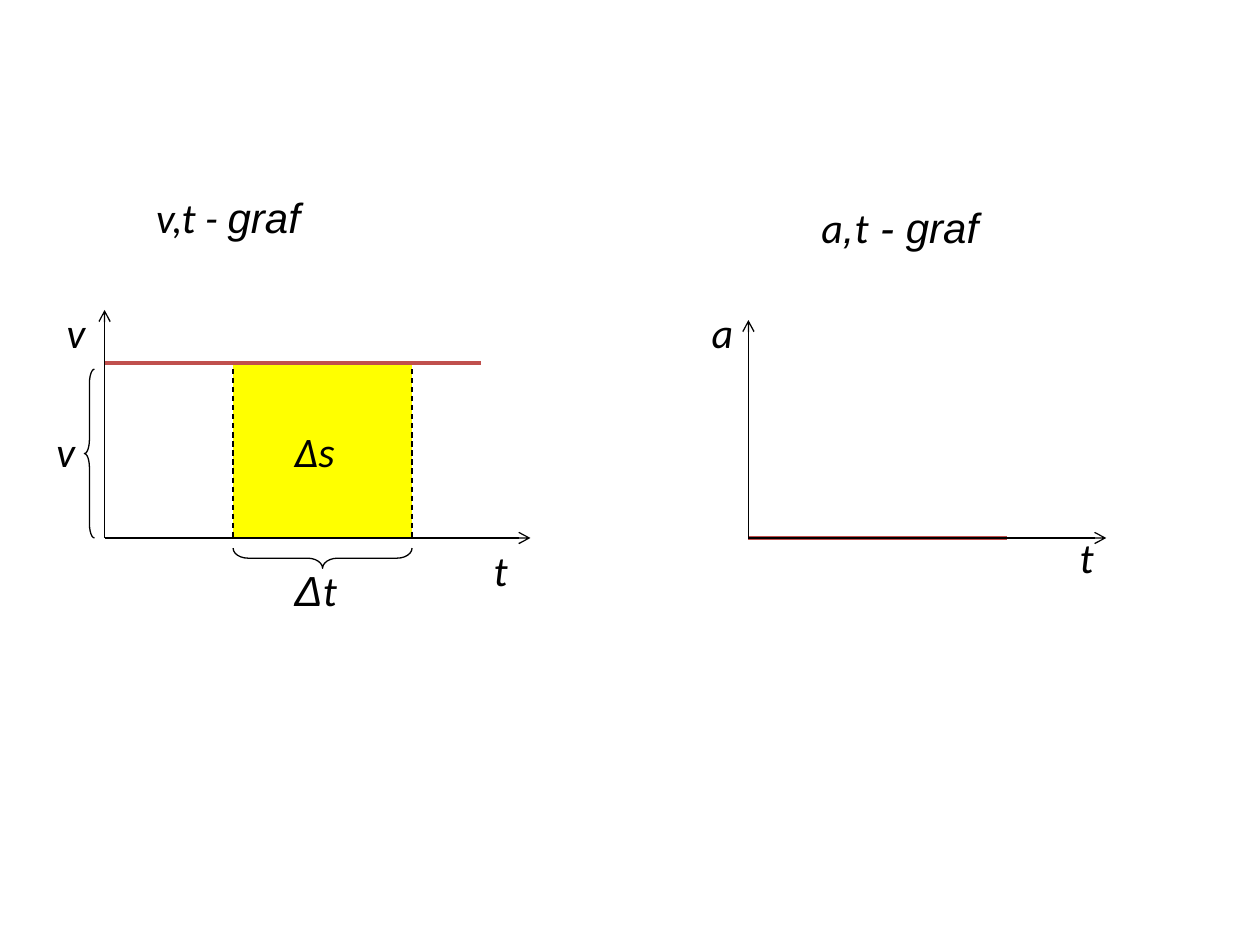
from dataclasses import dataclass

from lxml import etree
from pptx import Presentation
from pptx import util as u
from pptx.dml.color import RGBColor
from pptx.enum import dml, shapes
from pptx.oxml.ns import qn


@dataclass(frozen=True)
class Theme:
    """Colours, fonts, sizes and the grid of the slide."""
    ink: RGBColor = RGBColor(0, 0, 0)
    curve: RGBColor = RGBColor(0xC0, 0x50, 0x4D)
    area: RGBColor = RGBColor(0xFF, 0xFF, 0)
    symbol: str = "Calibri"
    word: str = "Arial"
    size: int = 24
    thin: float = 0.75
    thick: float = 2.25
    columns: int = 100
    rows: int = 75


THEME = Theme()
WIDTH, HEIGHT = u.Inches(10), u.Inches(7.5)
AXIS_ROW = 42.7
SPEED_ROW, DASH_ROW = 28.8, 29.3
V_ORIGIN, A_ORIGIN = 8.3, 59.4
START, END = 18.5, 32.7


def across(columns):
    """Turn grid columns into a length."""
    return round(columns * WIDTH / THEME.columns)


def down(rows):
    """Turn grid rows into a length."""
    return round(rows * HEIGHT / THEME.rows)


def add_line(page, start, end, color=THEME.ink, width=THEME.thin, arrow=False, dash=False):
    """Draw a straight line between two grid points."""
    line = page.shapes.add_connector(
        shapes.MSO_CONNECTOR.STRAIGHT,
        across(start[0]), down(start[1]), across(end[0]), down(end[1]))
    line.line.color.rgb = color
    line.line.width = u.Pt(width)
    if dash:
        line.line.dash_style = dml.MSO_LINE.DASH
    if arrow:
        tail = etree.SubElement(line.line._get_or_add_ln(), qn("a:tailEnd"))
        tail.set("type", "arrow")
    etree.SubElement(line._element.spPr, qn("a:effectLst"))


def add_axes(page, origin, top, right):
    """Draw the two arrows of a graph from its origin."""
    for tip in ((origin, top), (right, AXIS_ROW)):
        add_line(page, (origin, AXIS_ROW), tip, arrow=True)


def add_label(page, left, top, width, *spans, wrap=True):
    """Write italic spans, each given as wording and font."""
    box = page.shapes.add_textbox(across(left), down(top), across(width), down(5))
    box.text_frame.word_wrap = wrap
    para = box.text_frame.paragraphs[0]
    for wording, font in spans:
        span = para.add_run()
        span.text = wording
        span.font.name = font
        span.font.size = u.Pt(THEME.size)
        span.font.italic = True
        span.font.color.rgb = THEME.ink


def add_brace(page, left, top, width, height, curl, rotation=0):
    """Draw a left brace around a measured length."""
    brace = page.shapes.add_shape(
        shapes.MSO_SHAPE.LEFT_BRACE, across(left), down(top), across(width), down(height))
    brace.adjustments[0] = curl
    brace.rotation = rotation
    brace.shadow.inherit = False
    brace.fill.background()
    brace.line.color.rgb = THEME.ink
    brace.line.width = u.Pt(THEME.thin)


def add_area(page):
    """Fill the distance under the speed line."""
    area = page.shapes.add_shape(
        shapes.MSO_SHAPE.RECTANGLE, across(START), down(SPEED_ROW),
        across(END - START), down(AXIS_ROW - SPEED_ROW))
    area.shadow.inherit = False
    area.fill.solid()
    area.fill.fore_color.rgb = THEME.area
    area.line.fill.background()


def add_speed_graph(page):
    """Build the graph of constant speed over time."""
    symbol, word = THEME.symbol, THEME.word
    add_brace(page, 6.7, DASH_ROW, 0.8, AXIS_ROW - DASH_ROW, 1.4)
    add_brace(page, 24.8, 37.2, 1.6, END - START, 0.75, rotation=270)
    add_area(page)
    for column in (START, END):
        add_line(page, (column, DASH_ROW), (column, AXIS_ROW), dash=True)
    add_line(page, (V_ORIGIN, SPEED_ROW), (38.2, SPEED_ROW), THEME.curve, THEME.thick)
    add_axes(page, V_ORIGIN, 24.6, 42.1)
    add_label(page, 11.4, 14.7, 16.5, ("v,t - ", symbol), ("graf", word))
    add_label(page, 4.3, 23.8, 4.7, ("v", symbol))
    add_label(page, 3.5, 33.3, 4.7, ("v", symbol))
    add_label(page, 22.4, 33.3, 7.1, ("Δs", symbol))
    add_label(page, 22.4, 44.3, 5.5, ("Δ", word), ("t", symbol))
    add_label(page, 38.2, 42.7, 3.6, ("t", symbol))


def add_acceleration_graph(page):
    """Build the graph of zero acceleration over time."""
    symbol, word = THEME.symbol, THEME.word
    add_line(page, (A_ORIGIN, AXIS_ROW), (79.9, AXIS_ROW), THEME.curve, THEME.thick)
    add_axes(page, A_ORIGIN, 25.4, 87.8)
    add_label(page, 64.2, 15.5, 14.6, ("a", symbol), (",", word),
              ("t", symbol), (" - graf", word), wrap=False)
    add_label(page, 55.5, 23.8, 3.9, ("a", symbol))
    add_label(page, 84.7, 41.7, 3.6, ("t", symbol))


def main():
    """Build and save the slide with both graphs."""
    deck = Presentation()
    deck.slide_width, deck.slide_height = WIDTH, HEIGHT
    page = deck.slides.add_slide(deck.slide_layouts[6])
    add_speed_graph(page)
    add_acceleration_graph(page)
    deck.save("out.pptx")


if __name__ == "__main__":
    main()
